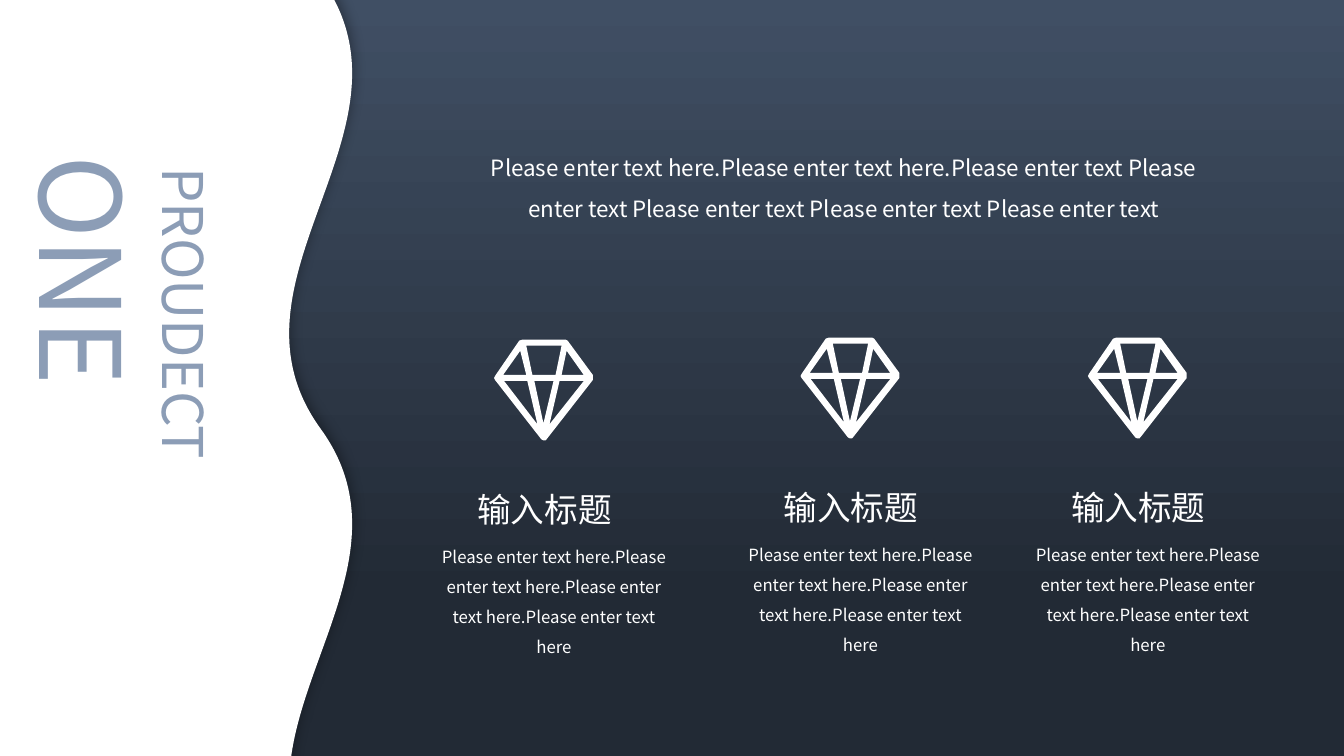
from dataclasses import dataclass

from lxml import etree
from pptx import Presentation
from pptx.dml.color import RGBColor
from pptx.enum.shapes import MSO_SHAPE
from pptx.enum.text import MSO_AUTO_SIZE, PP_ALIGN
from pptx.oxml.ns import qn
from pptx.util import Inches, Pt

RECTANGLE = MSO_SHAPE.RECTANGLE
DOUBLE_WAVE = MSO_SHAPE.DOUBLE_WAVE
GROW_TO_FIT = MSO_AUTO_SIZE.SHAPE_TO_FIT_TEXT
CENTER = PP_ALIGN.CENTER
JUSTIFY = PP_ALIGN.JUSTIFY

GEM_OUTLINE = [
    (98, 37), (98, 35), (73, 1), (71, 0), (28, 0), (25, 1), (1, 36), (0, 38),
    (1, 40), (47, 99), (49, 100), (51, 100), (52, 99), (98, 40),
]
GEM_FACETS = [
    [(67, 6), (61, 35), (38, 35), (32, 6)],
    [(26, 11), (32, 35), (9, 35)],
    [(10, 41), (33, 41), (43, 84)],
    [(49, 83), (40, 41), (59, 41)],
    [(55, 84), (65, 41), (89, 41)],
    [(67, 35), (72, 11), (89, 35)],
]
INTRO = (
    "Please enter text here.Please enter text here.Please enter text "
    "Please enter text Please enter text Please enter text Please enter text"
)
BODY = (
    "Please enter text here.Please enter text here."
    "Please enter text here.Please enter text here"
)
COLUMNS = [(4.28, 3.37), (7.32, 3.35), (10.17, 3.35)]


@dataclass(frozen=True)
class Theme:
    white: str = "FFFFFF"
    accent: str = "8C9DB6"
    shadow: str = "000000"
    gradient: tuple = ((0, "404F64"), (0.79, "222A35"))
    title_font: str = "Noto Sans CJK JP"
    text_font: str = "Noto Sans CJK SC"
    number_size: int = 80
    title_size: int = 40
    heading_size: int = 24
    intro_size: int = 16
    body_size: int = 12


class SlideBuilder:
    def __init__(self, slide, theme):
        self.slide = slide
        self.theme = theme

    def shape(self, kind, left, top, width, height):
        shape = self.slide.shapes.add_shape(
            kind, Inches(left), Inches(top), Inches(width), Inches(height)
        )
        shape.shadow.inherit = False
        shape.line.fill.background()
        return shape

    def fill_white(self, shape):
        shape.fill.solid()
        shape.fill.fore_color.rgb = RGBColor.from_string(self.theme.white)

    def backdrop(self, width, height):
        fill = self.shape(RECTANGLE, 0, 0, width, height).fill
        fill.gradient()
        fill.gradient_angle = 270
        for stop, (position, color) in zip(fill.gradient_stops, self.theme.gradient):
            stop.position = position
            stop.color.rgb = RGBColor.from_string(color)

    def wave(self, left, top, width, height):
        shape = self.shape(DOUBLE_WAVE, left, top, width, height)
        shape.rotation = 270
        shape.adjustments[0] = 0.071
        shape.adjustments[1] = -0.002
        self.fill_white(shape)
        effects = shape.element.spPr.find(qn("a:effectLst"))
        shadow = etree.SubElement(
            effects, qn("a:outerShdw"), blurRad=str(Pt(10)), dist=str(Pt(3)),
            dir="16200000", algn="b", rotWithShape="0",
        )
        color = etree.SubElement(shadow, qn("a:srgbClr"), val=self.theme.shadow)
        etree.SubElement(color, qn("a:alpha"), val="38000")

    def gem(self, left, top):
        builder = self.slide.shapes.build_freeform(*GEM_OUTLINE[0], scale=Inches(0.01))
        builder.add_line_segments(GEM_OUTLINE[1:], close=True)
        for facet in GEM_FACETS:
            builder.move_to(*facet[0])
            builder.add_line_segments(facet[1:], close=True)
        shape = builder.convert_to_shape(Inches(left), Inches(top))
        shape.shadow.inherit = False
        shape.line.fill.background()
        self.fill_white(shape)

    def text(self, words, left, top, width, height, size, line_spacing=1.5):
        shape = self.slide.shapes.add_textbox(
            Inches(left), Inches(top), Inches(width), Inches(height)
        )
        frame = shape.text_frame
        frame.word_wrap = True
        frame.auto_size = GROW_TO_FIT
        frame.text = words
        paragraph = frame.paragraphs[0]
        paragraph.alignment = CENTER
        paragraph.line_spacing = line_spacing
        self.style(paragraph, self.theme.text_font, size, self.theme.white)
        return shape

    def vertical_text(self, words, left, top, width, height, size):
        shape = self.text(words, left, top, width, height, size)
        shape.element.txBody.bodyPr.set("vert", "eaVert")
        paragraph = shape.text_frame.paragraphs[0]
        paragraph.alignment = JUSTIFY
        self.style(paragraph, self.theme.title_font, size, self.theme.accent)

    def style(self, paragraph, font_name, size, color):
        for run in paragraph.runs:
            run.font.name = font_name
            run.font.size = Pt(size)
            run.font.color.rgb = RGBColor.from_string(color)
            properties = run._r.get_or_add_rPr()
            east_asian = properties.find(qn("a:ea"))
            if east_asian is None:
                east_asian = etree.SubElement(properties, qn("a:ea"))
            east_asian.set("typeface", font_name)


def main():
    presentation = Presentation()
    presentation.slide_width = Inches(13.33)
    presentation.slide_height = Inches(7.5)
    theme = Theme()
    builder = SlideBuilder(
        presentation.slides.add_slide(presentation.slide_layouts[6]), theme
    )
    builder.backdrop(13.33, 7.5)
    builder.wave(-3.27, 1.95, 8.98, 4.57)
    builder.vertical_text("PROUDECT", 1.34, 1.56, 1.21, 4.21, theme.title_size)
    builder.vertical_text("ONE", 0, 1.44, 2.22, 4.33, theme.number_size)
    for left, top in COLUMNS:
        builder.gem(left + 0.62, top)
        builder.text(BODY, left, top + 1.9, 2.43, 1.01, theme.body_size)
        builder.text("输入标题", left, top + 1.43, 2.24, 0.5, theme.heading_size, 1.0)
    builder.text(INTRO, 4.51, 1.35, 7.72, 0.87, theme.intro_size)
    presentation.save("out.pptx")


if __name__ == "__main__":
    main()
